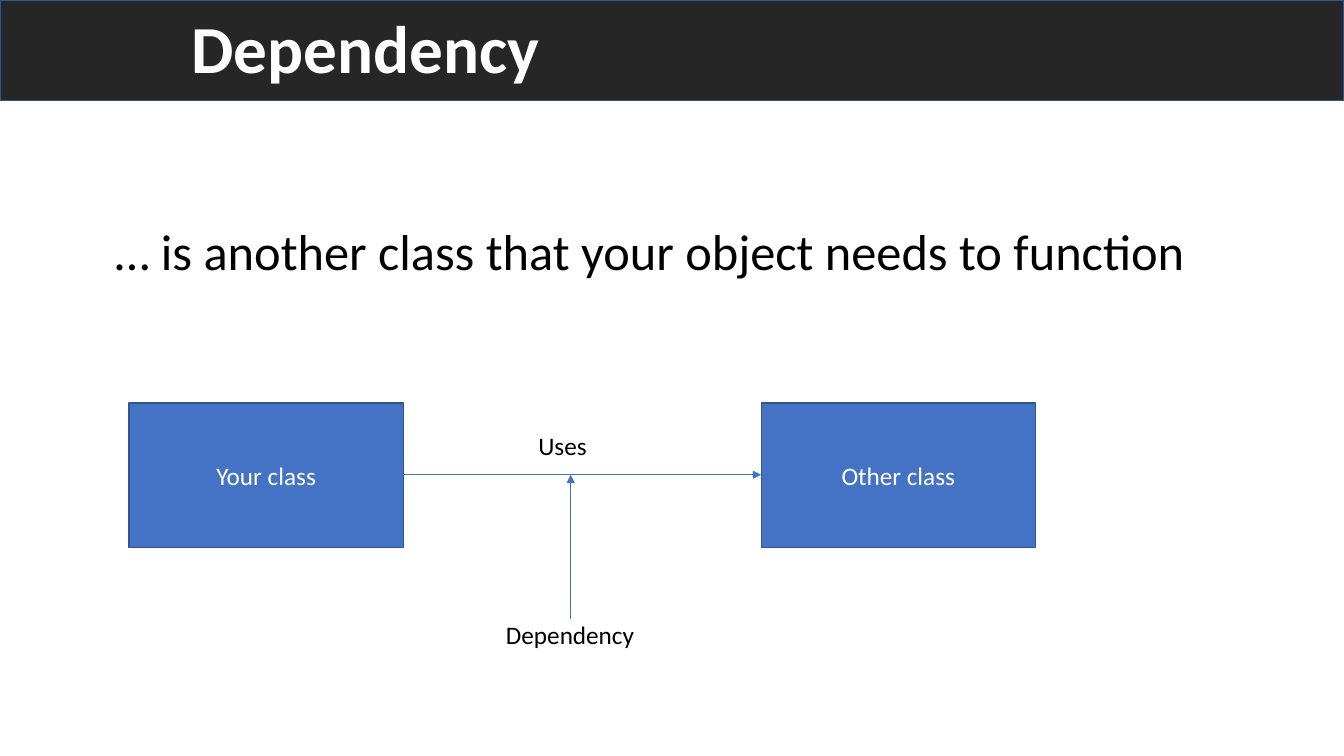
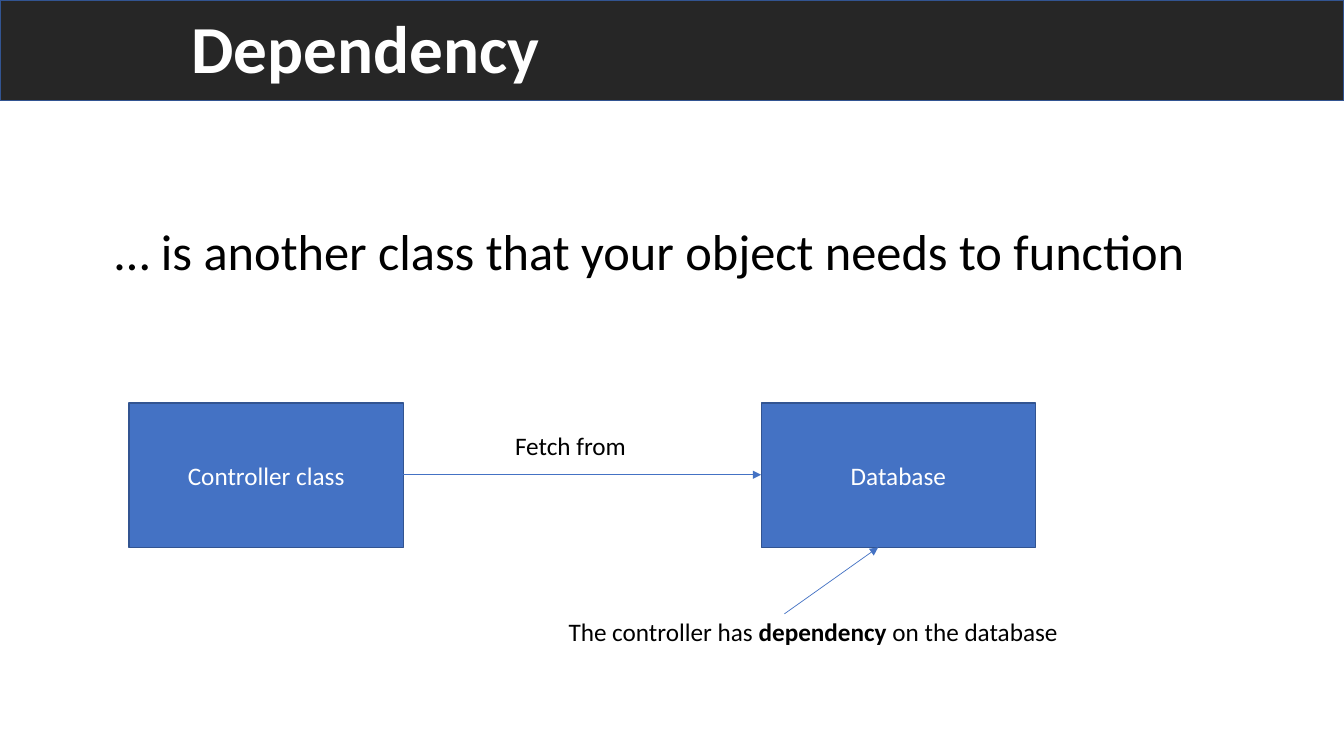
"""Build two slides that explain what a dependency between classes is."""
from lxml import etree
from pptx import Presentation
from pptx.dml.color import RGBColor
from pptx.enum.shapes import MSO_CONNECTOR, MSO_SHAPE
from pptx.enum.text import MSO_ANCHOR, MSO_AUTO_SIZE, PP_ALIGN
from pptx.oxml.ns import qn
from pptx.util import Inches, Pt

RECTANGLE = MSO_SHAPE.RECTANGLE
STRAIGHT = MSO_CONNECTOR.STRAIGHT
TOP, MIDDLE = MSO_ANCHOR.TOP, MSO_ANCHOR.MIDDLE
NO_FIT, GROW = MSO_AUTO_SIZE.NONE, MSO_AUTO_SIZE.SHAPE_TO_FIT_TEXT
LEFT, CENTER = PP_ALIGN.LEFT, PP_ALIGN.CENTER

color = RGBColor.from_string
FONT = "Calibri"
DARK, BLUE, EDGE = "262626", "4472C4", "325491"
WHITE, BLACK = "FFFFFF", "000000"
SLIDE_WIDTH = 13.33
BOX_TOP, BOX_WIDTH, BOX_HEIGHT = 4, 2.72, 1.43
BOX_LEFTS = (1.28, 7.55)
ARROW_Y = 4.71
STATEMENT = "… is another class that your object needs to function"

SLIDES = [
    {
        "classes": ("Your class", "Other class"),
        "labels": [
            (("Uses",), (5.24, 4.22, 0.69, 0.4), False),
            (("Dependency",), (4.92, 6.09, 1.49, 0.4), False),
        ],
        "pointer": (5.66, 6.14, 5.66, ARROW_Y),
    },
    {
        "classes": ("Controller class", "Database"),
        "labels": [
            (("Fetch from",), (5.01, 4.22, 1.31, 0.4), False),
            (("The controller has ", "dependency", " on the database"),
             (5.54, 6.07, 5.41, 0.4), True),
        ],
        "pointer": (7.78, 6.09, 8.71, BOX_TOP + BOX_HEIGHT),
    },
]


def write(para, spans, size, fill, align=LEFT):
    """Fill a paragraph with spans, every second one bold."""
    para.alignment = align
    for index, text in enumerate(spans):
        span = para.add_run()
        span.text = text
        span.font.name = FONT
        span.font.size = Pt(size)
        span.font.bold = index % 2 == 1
        span.font.color.rgb = color(fill)


def add_box(slide, place, fill):
    """Add an outlined rectangle."""
    box = slide.shapes.add_shape(RECTANGLE, *map(Inches, place))
    box.shadow.inherit = False
    box.fill.solid()
    box.fill.fore_color.rgb = color(fill)
    box.line.color.rgb = color(EDGE)
    box.line.width = Pt(1)
    return box


deck = Presentation()
deck.slide_width, deck.slide_height = Inches(SLIDE_WIDTH), Inches(7.5)

for content in SLIDES:
    slide = deck.slides.add_slide(deck.slide_layouts[5])
    add_box(slide, (0, 0, SLIDE_WIDTH, 1), DARK)

    title = slide.shapes.title
    slide.shapes._spTree.append(title._element)
    title.left, title.top = Inches(1.8), Inches(0.1)
    title.width, title.height = Inches(5.38), Inches(0.76)
    title.text_frame.vertical_anchor = TOP
    title.text_frame.auto_size = NO_FIT
    para = title.text_frame.paragraphs[0]
    para.line_spacing = 0.9
    para.space_before = Pt(10)
    write(para, ("Dependency",), 48, WHITE)
    para.runs[0].font.bold = True

    for left, name in zip(BOX_LEFTS, content["classes"]):
        box = add_box(slide, (left, BOX_TOP, BOX_WIDTH, BOX_HEIGHT), BLUE)
        box.text_frame.vertical_anchor = MIDDLE
        write(box.text_frame.paragraphs[0], (name,), 18, WHITE, CENTER)

    uses = (BOX_LEFTS[0] + BOX_WIDTH, ARROW_Y, BOX_LEFTS[1], ARROW_Y)
    for ends in (uses, content["pointer"]):
        arrow = slide.shapes.add_connector(STRAIGHT, *map(Inches, ends))
        arrow.line.color.rgb = color(BLUE)
        arrow.line.width = Pt(0.5)
        etree.SubElement(arrow.line._get_or_add_ln(), qn("a:tailEnd"), type="triangle")
        etree.SubElement(arrow._element.spPr, qn("a:effectLst"))

    statement = ((STATEMENT,), (1.04, 2.13, 10.83, 0.71), True)
    for size, (spans, place, wrap) in zip((36, 18, 18), [statement] + content["labels"]):
        label = slide.shapes.add_textbox(*map(Inches, place))
        label.text_frame.word_wrap = wrap
        label.text_frame.auto_size = GROW
        write(label.text_frame.paragraphs[0], spans, size, BLACK)

deck.save("out.pptx")
